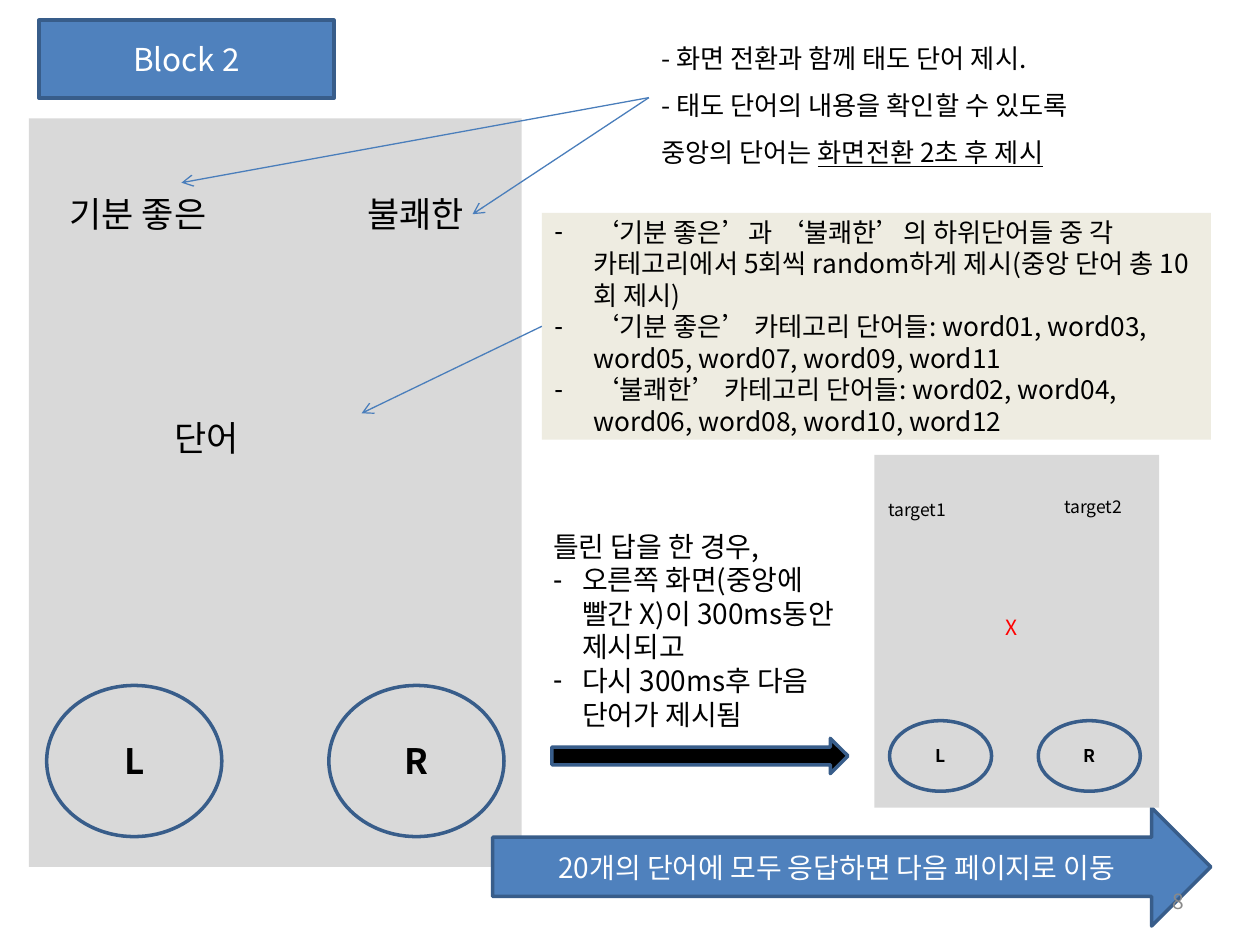
from dataclasses import dataclass
from typing import Optional

from lxml import etree
from pptx import Presentation, util as u
from pptx.dml.color import RGBColor
from pptx.enum import shapes, text
from pptx.oxml import ns

FONT = "Noto Sans CJK KR"
BLACK, WHITE, RED = "000000", "FFFFFF", "FF0000"
GRAY, BLUE, NAVY, CREAM = "D9D9D9", "4F81BD", "385D8A", "EEECE1"
ARROW_BLUE, NUMBER_GRAY = "4A7EBB", "898989"
RECT = shapes.MSO_SHAPE.RECTANGLE
OVAL = shapes.MSO_SHAPE.OVAL
RIGHT_ARROW = shapes.MSO_SHAPE.RIGHT_ARROW
LEFT, CENTER, RIGHT = text.PP_ALIGN.LEFT, text.PP_ALIGN.CENTER, text.PP_ALIGN.RIGHT
MIDDLE, TOP = text.MSO_ANCHOR.MIDDLE, text.MSO_ANCHOR.TOP

Box = tuple[float, float, float, float]


@dataclass
class Figure:
    kind: shapes.MSO_SHAPE
    box: Box
    words: str = ""
    size: float = 20
    color: str = BLACK
    bold: bool = False
    fill: Optional[str] = None
    line: Optional[str] = None


@dataclass
class Line:
    words: list[str]
    bullet_indent: float = 0


@dataclass
class Screen:
    panel: Box
    labels: list[tuple[str, Box]]
    center_word: tuple[str, Box, float, str]
    buttons: Box
    button_step: float
    size: float


def rgb(value: str) -> RGBColor:
    return RGBColor.from_string(value)


def apply(target, values: dict) -> None:
    for name, value in values.items():
        setattr(target, name, value)


def add_run(paragraph, words: str, size: float, color: str, **extra) -> None:
    run = paragraph.add_run()
    run.text = words
    apply(run.font, {"size": u.Pt(size), "name": FONT, **extra})
    run.font.color.rgb = rgb(color)
    etree.SubElement(run._r.get_or_add_rPr(), ns.qn("a:ea"), typeface=FONT)


def place(shape, box: Box) -> None:
    apply(shape, dict(zip(("left", "top", "width", "height"), map(u.Inches, box))))


def write(shape, lines: list[Line], size: float, color: str = BLACK, align=LEFT,
          anchor=TOP, wrap: bool = True, spacing: float = 1, bold: bool = False) -> None:
    frame = shape.text_frame
    apply(frame, {"word_wrap": wrap, "auto_size": text.MSO_AUTO_SIZE.NONE,
                  "vertical_anchor": anchor})
    for number, line in enumerate(lines):
        paragraph = frame.add_paragraph() if number else frame.paragraphs[0]
        apply(paragraph, {"alignment": align, "line_spacing": spacing,
                          "space_before": u.Pt(0)})
        properties = paragraph._p.get_or_add_pPr()
        indent = u.Inches(line.bullet_indent)
        properties.set("marL", str(indent))
        properties.set("indent", str(-indent))
        if indent:
            etree.SubElement(properties, ns.qn("a:buChar"), char="-")
        else:
            etree.SubElement(properties, ns.qn("a:buNone"))
        for part, words in enumerate(line.words):
            add_run(paragraph, words, size, color, bold=bold, underline=part > 0)


def add_text(slide, box: Box, lines: list[Line], size: float, **style):
    area = slide.shapes.add_textbox(*map(u.Inches, box))
    write(area, lines, size, **style)
    return area


def add_figure(slide, figure: Figure) -> None:
    shape = slide.shapes.add_shape(figure.kind, *map(u.Inches, figure.box))
    shape.shadow.inherit = False
    paint(shape, figure.fill, figure.line)
    if figure.words:
        write(shape, [Line([figure.words])], figure.size, color=figure.color,
              align=CENTER, anchor=MIDDLE, wrap=False, bold=figure.bold)


def paint(shape, fill: Optional[str], line: Optional[str]) -> None:
    if fill:
        shape.fill.solid()
        shape.fill.fore_color.rgb = rgb(fill)
    else:
        shape.fill.background()
    if line:
        shape.line.color.rgb = rgb(line)
        shape.line.width = u.Pt(2)
    else:
        shape.line.fill.background()


def add_screen(slide, screen: Screen) -> None:
    add_figure(slide, Figure(RECT, screen.panel, fill=GRAY))
    for words, box in screen.labels:
        add_figure(slide, Figure(OVAL, box, words, screen.size))
    words, box, size, color = screen.center_word
    add_text(slide, box, [Line([words])], size, color=color, align=CENTER, anchor=MIDDLE)
    left, top, width, height = screen.buttons
    for column, letter in enumerate("LR"):
        box = (left + column * screen.button_step, top, width, height)
        add_figure(slide, Figure(OVAL, box, letter, screen.size, bold=True, line=NAVY))


def add_pointer(slide, source, end: tuple[float, float]) -> None:
    x, y = map(u.Inches, end)
    pointer = slide.shapes.add_connector(shapes.MSO_CONNECTOR.STRAIGHT, x, y, x, y)
    pointer.begin_connect(source, 1)
    pointer.line.color.rgb = rgb(ARROW_BLUE)
    pointer.line.width = u.Pt(0.75)
    etree.SubElement(pointer.line._get_or_add_ln(), ns.qn("a:tailEnd"), type="arrow")
    etree.SubElement(pointer._element.spPr, ns.qn("a:effectLst"))


TASK_SCREEN = Screen(
    panel=(0.23, 0.94, 3.91, 5.94),
    labels=[("기분 좋은", (0, 1.46, 2.19, 0.47)), ("불쾌한", (2.46, 1.46, 1.68, 0.47))],
    center_word=("단어", (1.14, 3.25, 1, 0.44), 20, BLACK),
    buttons=(0.37, 5.44, 1.39, 1.2), button_step=2.24, size=20)
ERROR_SCREEN = Screen(
    panel=(6.94, 3.61, 2.26, 2.8),
    labels=[("target1", (6.72, 3.93, 1.12, 0.22)), ("target2", (8.19, 3.91, 0.97, 0.22))],
    center_word=("X", (7.06, 4.83, 1.94, 0.3), 12, RED),
    buttons=(7.06, 5.72, 0.81, 0.56), button_step=1.18, size=10)
NEXT_PAGE = Figure(RIGHT_ARROW, (3.91, 6.41, 5.7, 0.94),
                   "20개의 단어에 모두 응답하면 다음 페이지로 이동", 16, WHITE,
                   fill=BLUE, line=NAVY)
TO_ERROR = Figure(RIGHT_ARROW, (4.38, 5.86, 2.35, 0.28), fill=BLACK, line=NAVY)
TIMING = [Line(["- 화면 전환과 함께 태도 단어 제시."]),
          Line(["- 태도 단어의 내용을 확인할 수 있도록"]),
          Line(["중앙의 단어는 ", "화면전환 2초 후 제시"])]
WORD_RULES = [
    Line([words], 0.31) for words in (
        "‘기분 좋은’과 ‘불쾌한’의 하위단어들 중 각 카테고리에서 5회씩 random하게 제시(중앙 단어 총 10회 제시)",
        "‘기분 좋은’ 카테고리 단어들: word01, word03, word05, word07, word09, word11",
        "‘불쾌한’ 카테고리 단어들: word02, word04, word06, word08, word10, word12")]
WRONG_ANSWER = [Line(["틀린 답을 한 경우,"]),
                Line(["오른쪽 화면(중앙에 빨간 X)이 300ms동안 제시되고"], 0.23),
                Line(["다시 300ms후 다음 단어가 제시됨"], 0.23)]


def main() -> None:
    deck = Presentation()
    apply(deck, {"slide_width": u.Inches(10), "slide_height": u.Inches(7.5)})
    slide = deck.slides.add_slide(deck.slide_layouts[3])
    title, word_rules, wrong_answer = slide.placeholders

    place(title, (0.31, 0.16, 2.34, 0.62))
    outline = etree.SubElement(title._element.spPr, ns.qn("a:prstGeom"), prst="ellipse")
    etree.SubElement(outline, ns.qn("a:avLst"))
    paint(title, BLUE, NAVY)
    write(title, [Line(["Block 2"])], 18, color=WHITE, align=CENTER, anchor=MIDDLE)

    place(word_rules, (4.3, 1.69, 5.31, 1.8))
    paint(word_rules, CREAM, None)
    write(word_rules, WORD_RULES, 15, anchor=MIDDLE)
    place(wrong_answer, (4.29, 4.15, 2.5, 1.7))
    write(wrong_answer, WRONG_ANSWER, 16)

    add_screen(slide, TASK_SCREEN)
    add_figure(slide, NEXT_PAGE)
    add_screen(slide, ERROR_SCREEN)
    add_figure(slide, TO_ERROR)
    timing = add_text(slide, (5.15, 0.16, 4.26, 1.23), TIMING, 15, spacing=1.5)
    for source, end in ((timing, (1.44, 1.45)), (timing, (3.75, 1.7)),
                        (word_rules, (2.87, 3.28))):
        add_pointer(slide, source, end)
    add_text(slide, (7.17, 6.95, 2.33, 0.4), [Line(["8"])], 12,
             color=NUMBER_GRAY, align=RIGHT, anchor=MIDDLE)
    deck.save("out.pptx")


if __name__ == "__main__":
    main()
